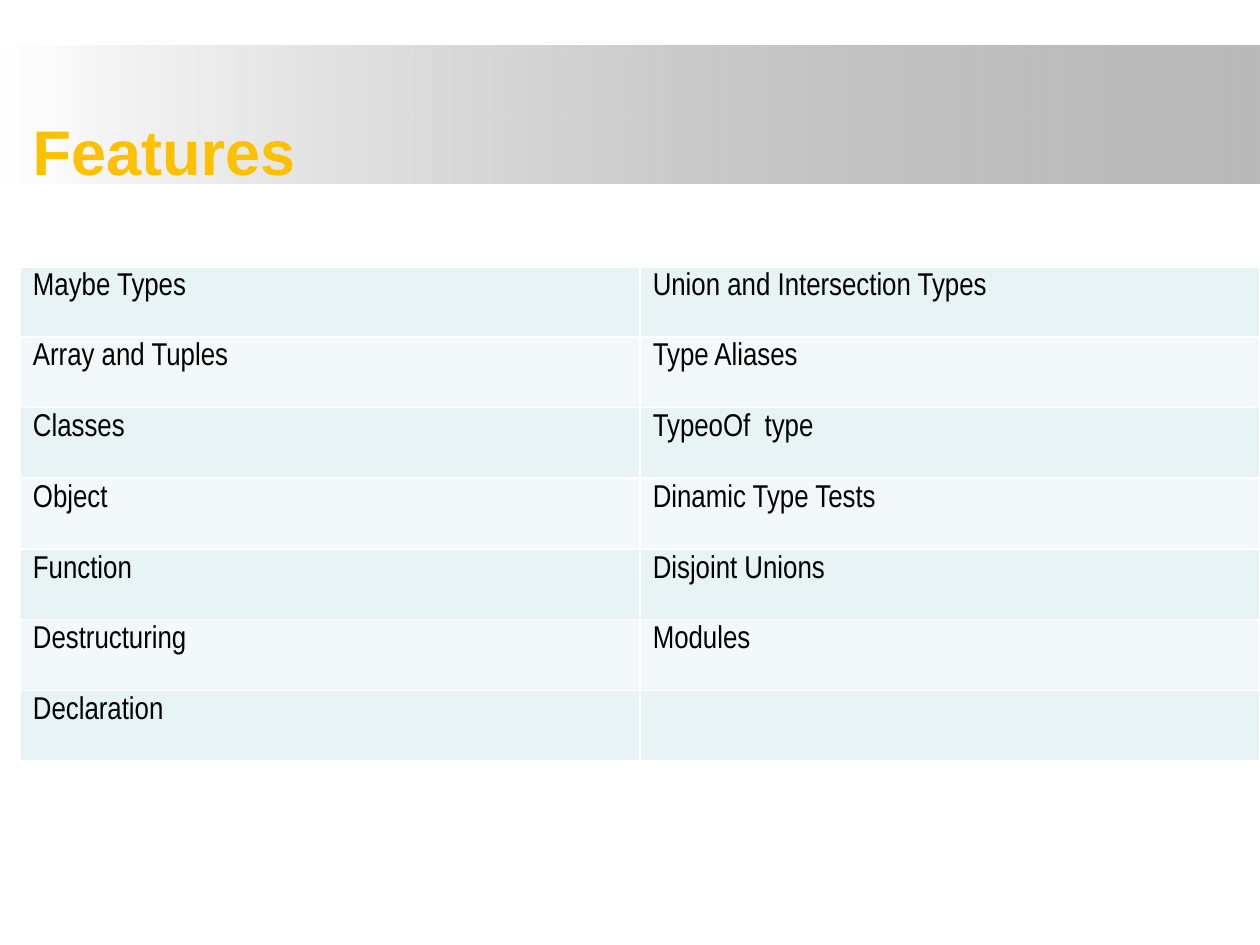
from lxml import etree
from pptx import Presentation
from pptx.dml.color import RGBColor
from pptx.enum.shapes import MSO_SHAPE
from pptx.enum.text import MSO_ANCHOR
from pptx.oxml.ns import qn
from pptx.util import Cm, Pt

RECTANGLE = MSO_SHAPE.RECTANGLE
MIDDLE = MSO_ANCHOR.MIDDLE
COLORS = {
    "white": "FFFFFF",
    "gray": "808080",
    "title": "FFC000",
    "text": "000000",
    "odd_row": "E7F3F4",
    "even_row": "F3F9FA",
}
FEATURES = [
    ("Maybe Types", "Union and Intersection Types"),
    ("Array and Tuples", "Type Aliases"),
    ("Classes", "TypeoOf  type"),
    ("Object", "Dinamic Type Tests"),
    ("Function", "Disjoint Unions"),
    ("Destructuring", "Modules"),
    ("Declaration", ""),
]


def write(frame, text, font="Arial Narrow", size=18, color="text", bold=False):
    span = frame.paragraphs[0].add_run()
    span.text = text
    span.font.name = font
    span.font.size = Pt(size)
    span.font.bold = bold
    span.font.color.rgb = RGBColor.from_string(COLORS[color])


def add_borders(cell, bottom_width):
    properties = cell._tc.get_or_add_tcPr()
    widths = {"a:lnL": 1, "a:lnR": 1, "a:lnT": 1, "a:lnB": bottom_width}
    for position, (tag, width) in enumerate(widths.items()):
        line = etree.Element(qn(tag), w=str(Pt(width)))
        solid = etree.SubElement(line, qn("a:solidFill"))
        etree.SubElement(solid, qn("a:srgbClr"), val=COLORS["white"])
        properties.insert(position, line)


deck = Presentation()
deck.slide_width, deck.slide_height = Cm(25.4), Cm(19.05)
page = deck.slides.add_slide(deck.slide_layouts[6])

# Gradient band, fading to translucent gray
band = page.shapes.add_shape(RECTANGLE, Cm(0), Cm(0.91), Cm(25.4), Cm(2.79))
band.shadow.inherit = False
band.line.fill.background()
band.fill.gradient()
band.fill.gradient_angle = 0
for stop, name, position in zip(band.fill.gradient_stops, ("white", "gray"), (0, 1)):
    stop.color.rgb = RGBColor.from_string(COLORS[name])
    stop.position = position
gray = band._element.spPr.findall(".//" + qn("a:srgbClr"))[-1]
etree.SubElement(gray, qn("a:alpha"), val="54000")

# Title
title = page.shapes.add_textbox(Cm(0.41), Cm(2.11), Cm(9.86), Cm(1.83))
title.text_frame.word_wrap = True
title.text_frame.vertical_anchor = MIDDLE
write(title.text_frame, "Features", font="Arial", size=36, color="title", bold=True)

# Feature table, with an empty unfilled header row
rows = [("", "")] + FEATURES
table = page.shapes.add_table(
    len(rows), 2, Cm(0.41), Cm(3.94), Cm(24.99), Cm(11.4)
).table
for row_number, texts in enumerate(rows):
    for column_number, text in enumerate(texts):
        cell = table.cell(row_number, column_number)
        if row_number == 0:
            cell.fill.background()
        else:
            cell.fill.solid()
            shade = "odd_row" if row_number % 2 else "even_row"
            cell.fill.fore_color.rgb = RGBColor.from_string(COLORS[shade])
        add_borders(cell, bottom_width=1 if row_number else 3)
        if text:
            write(cell.text_frame, text)

deck.save("out.pptx")
